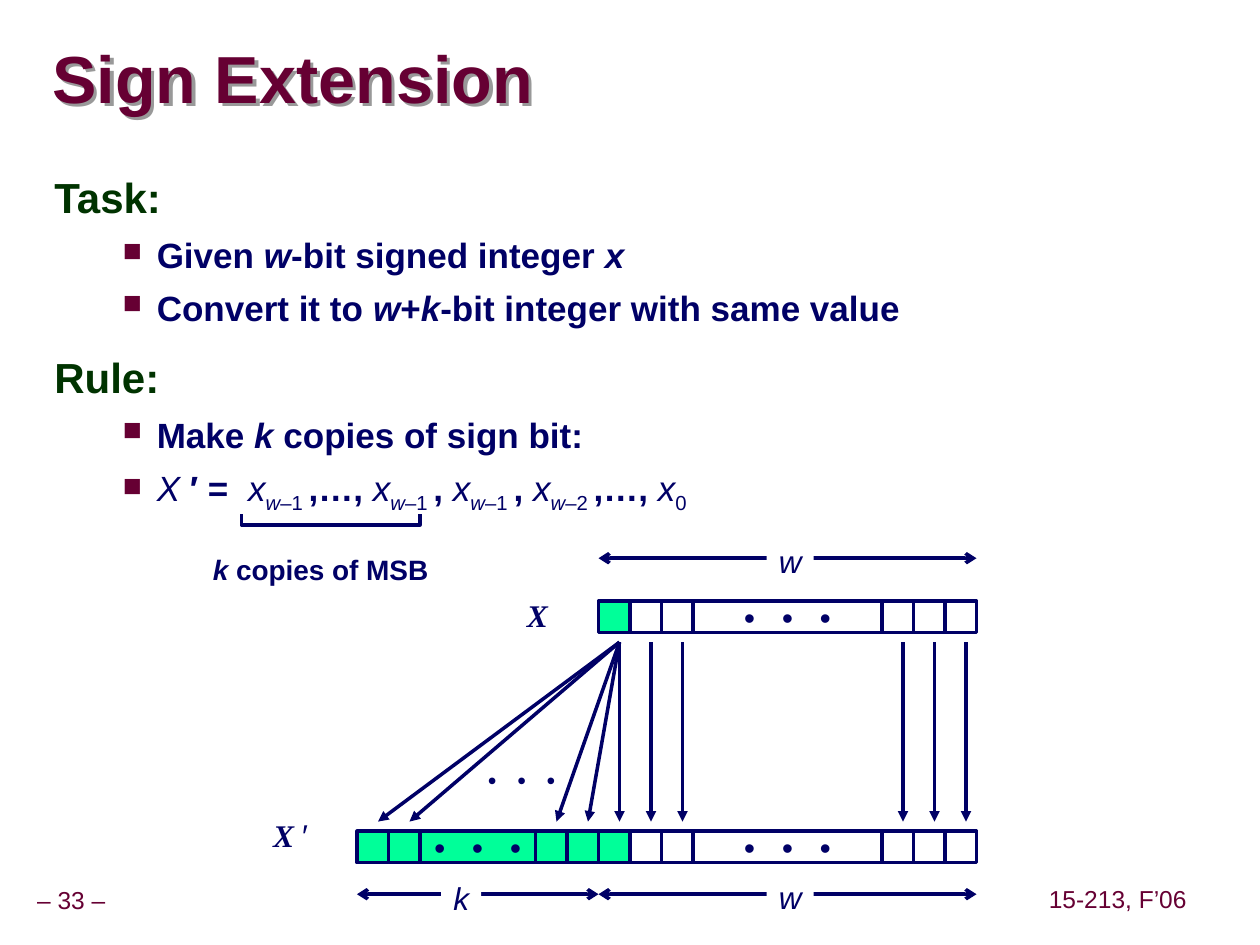
from itertools import chain

from lxml import etree
from pptx import Presentation
from pptx import util as u
from pptx.dml.color import RGBColor
from pptx.enum import shapes, text
from pptx.oxml.ns import qn

COLORS = {
    "maroon": "660033",
    "green": "003300",
    "navy": "000066",
    "sign": "00FF99",
    "white": "FFFFFF",
    "shadow": "999999",
}
DOTS = "• • •"  # joined by no-break spaces
BIT = 18  # side of one bit cell
LEFT_X, LEFT_EXTENDED, RIGHT = 342, 204, 558
TOP_X, TOP_EXTENDED = 343.5, 475


def rgb(name):
    return RGBColor.from_string(COLORS[name])


def sub_element(parent, tag, **attributes):
    return etree.SubElement(parent, qn(tag), attributes)


class SlideBuilder:
    """Holds the slide and its style; all lengths are in points."""

    ink = "navy"
    line_width = 2
    font = "Arial"

    def __init__(self, slide):
        self.slide = slide

    def add_run(self, paragraph, content, size, style="", color=None, font=None):
        """Style letters: b bold, i italic, s subscript."""
        run = paragraph.add_run()
        run.text = content
        run.font.name = font or self.font
        run.font.size = u.Pt(size)
        run.font.bold = "b" in style
        run.font.italic = "i" in style
        run.font.color.rgb = rgb(color or self.ink)
        if "s" in style:
            run.font._element.set("baseline", "-25000")

    def set_frame(self, frame, margins=(7.2, 3.6), wrap=False, anchor="TOP"):
        frame.margin_left = frame.margin_right = u.Pt(margins[0])
        frame.margin_top = frame.margin_bottom = u.Pt(margins[1])
        frame.word_wrap = wrap
        frame.vertical_anchor = text.MSO_ANCHOR[anchor]

    def title(self, content, *box):
        shape = self.slide.shapes.title
        shape.left, shape.top, shape.width, shape.height = map(u.Pt, box)
        self.set_frame(shape.text_frame, (0, 0), True, "MIDDLE")
        paragraph = shape.text_frame.paragraphs[0]
        paragraph.alignment = text.PP_ALIGN.LEFT
        paragraph.line_spacing = 0.87
        self.add_run(paragraph, content, 38, "b", "maroon")
        # An unfilled shape casts the shadow of its text
        shape.fill.background()
        effects = sub_element(shape._element.spPr, "a:effectLst")
        shadow = sub_element(effects, "a:outerShdw", blurRad="0", dist="35921",
                             dir="2700000", algn="ctr", rotWithShape="0")
        sub_element(shadow, "a:srgbClr", val=COLORS["shadow"])

    def label(self, runs, *box, size=18, color=None, font=None, **frame_style):
        shape = self.slide.shapes.add_textbox(*map(u.Pt, box))
        self.set_frame(shape.text_frame, **frame_style)
        for content, style in runs:
            self.add_run(shape.text_frame.paragraphs[0], content, size, style, color, font)
        return shape

    def footer(self, content, *box):
        shape = self.label([(content, "")], *box, size=14, color="maroon",
                           margins=(3.6, 3.6), anchor="MIDDLE")
        paragraph = shape.text_frame.paragraphs[0]
        paragraph.alignment = text.PP_ALIGN.CENTER
        paragraph.line_spacing = 0.9

    def outline(self, sections, *box):
        frame = self.slide.shapes.add_textbox(*map(u.Pt, box)).text_frame
        self.set_frame(frame, wrap=True)
        for index, (heading, items) in enumerate(sections):
            paragraph = frame.add_paragraph() if index else frame.paragraphs[0]
            paragraph.line_spacing = 0.95
            if index:
                paragraph.space_before = u.Pt(15)
            self.add_run(paragraph, heading, 24, "b", "green")
            for runs in items:
                paragraph = frame.add_paragraph()
                self.add_bullet(paragraph)
                paragraph.space_before = u.Pt(6.2)
                for content, style in runs:
                    self.add_run(paragraph, content, 20, style)

    def add_bullet(self, paragraph):
        properties = paragraph._p.get_or_add_pPr()
        properties.set("marL", str(u.Pt(58.5)))
        properties.set("indent", str(u.Pt(-19.5)))
        bullet_color = sub_element(properties, "a:buClr")
        sub_element(bullet_color, "a:srgbClr", val=COLORS["maroon"])
        sub_element(properties, "a:buSzPct", val="75000")
        sub_element(properties, "a:buChar", char="■")

    def set_line(self, shape):
        shape.line.color.rgb = rgb(self.ink)
        shape.line.width = u.Pt(self.line_width)

    def cell(self, fill, dots, *box):
        shape = self.slide.shapes.add_shape(shapes.MSO_SHAPE.RECTANGLE, *map(u.Pt, box))
        shape.shadow.inherit = False
        shape.fill.solid()
        shape.fill.fore_color.rgb = rgb(fill)
        self.set_line(shape)
        if dots:
            self.set_frame(shape.text_frame, anchor="MIDDLE")
            paragraph = shape.text_frame.paragraphs[0]
            paragraph.alignment = text.PP_ALIGN.CENTER
            self.add_run(paragraph, DOTS, 18, font="Courier New")

    def word(self, left, top, cells):
        """A row of touching cells; any cell wider than a bit shows dots."""
        for width, fill in cells:
            self.cell(fill, width > BIT, left, top, width, BIT)
            left += width

    def arrow(self, start, end, head=None, tail="triangle"):
        connector = self.slide.shapes.add_connector(
            shapes.MSO_CONNECTOR.STRAIGHT, *map(u.Pt, (*start, *end)))
        self.set_line(connector)
        line = connector.line._get_or_add_ln()
        if head:
            sub_element(line, "a:headEnd", type=head)
        sub_element(line, "a:tailEnd", type=tail)
        sub_element(connector._element.spPr, "a:effectLst")

    def dimension(self, name, left, right, y, *box):
        self.arrow((left, y), (right, y), head="arrow", tail="arrow")
        shape = self.label([(name, "i")], *box)
        shape.fill.solid()
        shape.fill.fore_color.rgb = rgb("white")

    def bracket(self, left, top, right, bottom):
        points = [(left, bottom), (right, bottom), (right, top)]
        builder = self.slide.shapes.build_freeform(u.Pt(left), u.Pt(top))
        builder.add_line_segments([(u.Pt(x), u.Pt(y)) for x, y in points], close=False)
        shape = builder.convert_to_shape()
        shape.shadow.inherit = False
        shape.fill.background()
        self.set_line(shape)


def bit_term(offset, separator):
    return [("x", "i"), ("w", "is"), (f"–{offset} ", "s"), (separator, "b")]


def main():
    presentation = Presentation()
    presentation.slide_width, presentation.slide_height = u.Pt(720), u.Pt(540)
    builder = SlideBuilder(presentation.slides.add_slide(presentation.slide_layouts[5]))

    # Title and footers
    builder.title("Sign Extension", 30, 25, 481, 44)
    builder.footer("– 33 –", -6.5, 504, 94.5, 22.5)
    builder.footer("15-213, F’06", 595.5, 503.5, 86.5, 22.5)

    # Task and rule
    terms = [(1, ",…, "), (1, ", "), (1, ", "), (2, ",…, ")]
    builder.outline([
        ("Task:", [
            [("Given ", "b"), ("w", "bi"), ("-bit signed integer ", "b"), ("x", "bi")],
            [("Convert it to ", "b"), ("w", "bi"), ("+", "b"), ("k", "bi"),
             ("-bit integer with same value", "b")],
        ]),
        ("Rule:", [
            [("Make ", "b"), ("k", "bi"), (" copies of sign bit:", "b")],
            [("X ", "i"), ("′ =  ", "b"),
             *chain.from_iterable(bit_term(*term) for term in terms),
             ("x", "i"), ("0", "s")],
        ]),
    ], 24, 96.5, 653, 411)
    builder.bracket(138, 294, 240, 300)
    builder.label([("k", "bi"), (" copies of MSB", "b")], 114.5, 312, 137.5, 26, size=16)

    # Both words
    bits = [(BIT, "white")] * 2 + [(108, "white")] + [(BIT, "white")] * 3
    sign = [(BIT, "sign")]
    builder.word(LEFT_X, TOP_X, sign + bits)
    builder.word(LEFT_EXTENDED, TOP_EXTENDED, sign * 2 + [(66, "sign")] + sign * 3 + bits)
    builder.label([("X", "bi")], 294, 337, 31, 29, font="Times New Roman")
    prime_label = builder.label([("X ", "bi")], 149, 463, 37, 29, font="Times New Roman")
    builder.add_run(prime_label.text_frame.paragraphs[0], "′", 18)

    # Bits copied downwards, the sign bit several times
    sign_center = LEFT_X + 12
    for end in (354, 336, 318, 234, 216):
        builder.arrow((sign_center, 367), (end, 469.5))
    for x in (372, 390, 516, 534, 552):
        builder.arrow((x, 367), (x, 469.5))
    builder.label([(DOTS, "")], 270, 433.5, 60, 24.5, size=14, font="Courier New")

    # Word lengths
    builder.dimension("w", LEFT_X, RIGHT, 319, 438, 306, 27, 29)
    builder.dimension("w", LEFT_X, RIGHT, 511, 438, 498, 27, 29)
    builder.dimension("k", LEFT_EXTENDED, LEFT_X, 511, 252, 499, 23, 29)

    presentation.save("out.pptx")


if __name__ == "__main__":
    main()
